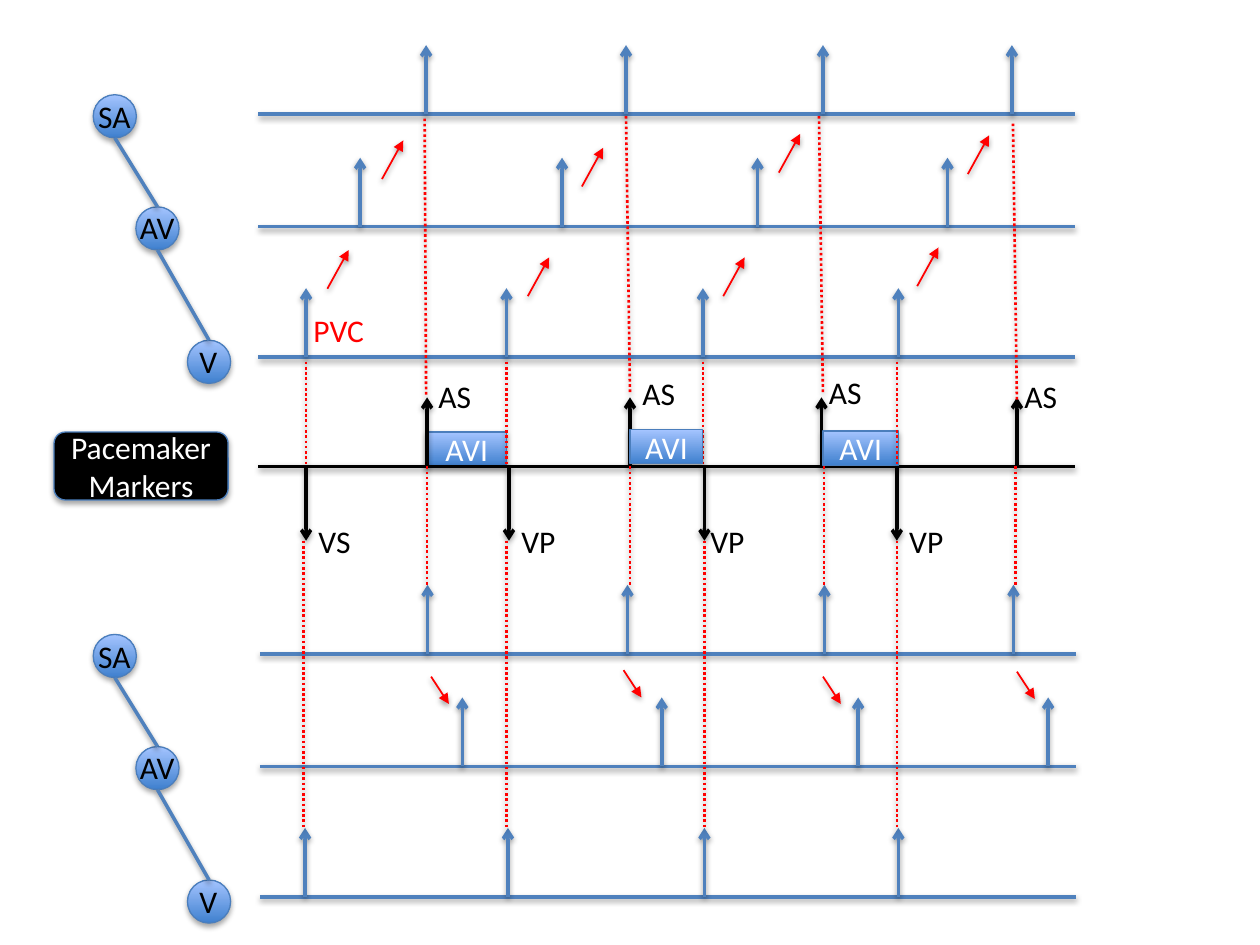
from lxml.etree import SubElement
from pptx import Presentation
from pptx.dml.color import RGBColor
from pptx.enum.dml import MSO_LINE
from pptx.enum.shapes import MSO_CONNECTOR, MSO_SHAPE
from pptx.enum.text import MSO_ANCHOR, MSO_AUTO_SIZE, PP_ALIGN
from pptx.oxml.ns import qn
from pptx.util import Cm, Pt

BLUE = RGBColor(0x4F, 0x81, 0xBD)
OUTLINE = RGBColor(0x4B, 0x7E, 0xBC)
GRADIENT = (RGBColor(0x3F, 0x80, 0xCE), RGBColor(0xA4, 0xC4, 0xFF))
RED = RGBColor(0xFF, 0x00, 0x00)
BLACK = RGBColor(0x00, 0x00, 0x00)
WHITE = RGBColor(0xFF, 0xFF, 0xFF)

# All positions are in centimetres
RAIL_START, RAIL_END = 5.21, 21.67
SA_RAIL, AV_RAIL, V_RAIL, MARKER_RAIL = 2.3, 4.57, 7.2, 9.4
LOWER_DX, LOWER_DY = 0.03, 10.88
BEAT_HEIGHT, PACE_DEPTH = 1.39, 1.5
NODE_SIZE = 0.87

SA_BEATS = (8.59, 12.62, 16.59, 20.4)
V_BEATS = (6.17, 10.21, 14.17, 18.11)
UPPER_BEATS = {SA_RAIL: SA_BEATS, AV_RAIL: (7.26, 11.33, 15.27, 19.1),
               V_RAIL: V_BEATS}
LOWER_BEATS = {SA_RAIL: [x + LOWER_DX for x in SA_BEATS],
               AV_RAIL: (9.32, 13.34, 17.3, 21.13),
               V_RAIL: (6.15, 10.24, 14.2, 18.11)}
ATRIAL_MARKERS = (8.61, 12.7, 16.56, 20.5)
VENTRICULAR_MARKERS = (6.17, 10.26, 14.2, 18.08)
MARKER_LABELS = (
    ("VS", 6.17, 10.39), ("AS", 8.59, 7.47), ("AS", 12.7, 7.42),
    ("AS", 16.46, 7.39), ("AS", 20.4, 7.47), ("VP", 10.26, 10.39),
    ("VP", 14.07, 10.39), ("VP", 18.08, 10.39))
LABEL_WIDTHS = {"VS": 1.17, "AS": 1.17, "VP": 1.22, "PVC": 1.55,
                "SA": 1.17, "AV": 1.22, "V": 0.89}

NODES = ((1.88, 1.91), (2.74, 4.17), (3.78, 6.86))
NODE_LABELS = (("SA", 1.73, 1.83), ("AV", 2.57, 4.07), ("V", 3.77, 6.77))
AV_INTERVALS = ((8.61, 8.71, 1.6), (12.7, 8.66, 1.47), (16.59, 8.69, 1.52))

SA_TO_MARKER = ((8.56, 2.39, 8.59, 7.98), (12.62, 2.34, 12.7, 7.92),
                (16.51, 2.34, 16.59, 7.95), (20.42, 2.49, 20.5, 8.08))
V_TO_MARKER = (6.17, 10.21, 14.17, 18.08)
MARKER_TO_SA = (8.61, 12.7, 16.61, 20.47)
MARKER_TO_V = (6.12, 10.21, 14.2, 18.08)

RETROGRADE = ((6.6, 5.82), (7.7, 3.61), (10.64, 5.97), (11.73, 3.76),
              (14.58, 5.97), (15.7, 3.48), (18.49, 5.77), (19.51, 3.51))
ANTEGRADE = ((20.5, 13.54), (12.57, 13.51), (16.59, 13.64), (8.69, 13.64))


def add_shadow(properties, distance, opacity):
    effects = properties.find(qn("a:effectLst"))
    if effects is None:
        effects = SubElement(properties, qn("a:effectLst"))
    shadow = SubElement(effects, qn("a:outerShdw"), blurRad="40000",
                        dist=str(distance), dir="5400000", rotWithShape="0")
    color = SubElement(shadow, qn("a:srgbClr"), val="000000")
    SubElement(color, qn("a:alpha"), val=str(opacity * 1000))


class Diagram:
    """Holds the text style and the slide being drawn."""

    font_format = {"name": "Calibri", "size": Pt(18)}

    def __init__(self, slide):
        self.slide = slide

    def set_text(self, shape, text, color, align, frame_format):
        frame = shape.text_frame
        for attribute, value in frame_format.items():
            setattr(frame, attribute, value)
        frame.text = text
        for paragraph in frame.paragraphs:
            paragraph.alignment = align
            for attribute, value in self.font_format.items():
                setattr(paragraph.font, attribute, value)
            paragraph.font.color.rgb = color

    def line(self, x1, y1, x2, y2, color=BLUE, width=2, head=None, dash=None):
        connector = self.slide.shapes.add_connector(
            MSO_CONNECTOR.STRAIGHT, Cm(x1), Cm(y1), Cm(x2), Cm(y2))
        stroke = connector.line
        stroke.color.rgb = color
        stroke.width = Pt(width)
        if dash:
            stroke.dash_style = dash
        properties = connector._element.spPr
        if head:
            SubElement(properties.find(qn("a:ln")), qn("a:tailEnd"), type=head)
        add_shadow(properties, 20000, 38)

    def beat(self, x, rail, height=BEAT_HEIGHT, color=BLUE):
        self.line(x, rail, x, rail - height, color, head="arrow")

    def link(self, x1, y1, x2, y2):
        self.line(x1, y1, x2, y2, RED, 1.5, dash=MSO_LINE.ROUND_DOT)

    def conduction(self, x, y, dx, dy):
        self.line(x, y, x + dx, y + dy, RED, 1, head="triangle")

    def shape(self, kind, left, top, width, height, text="", fill=None):
        """Draw a preset shape; without a fill colour it gets the gradient."""
        shape = self.slide.shapes.add_shape(
            kind, Cm(left), Cm(top), Cm(width), Cm(height))
        if fill is None:
            shape.fill.gradient()
            shape.fill.gradient_angle = 90
            for stop, color in zip(shape.fill.gradient_stops, GRADIENT):
                stop.color.rgb = color
        else:
            shape.fill.solid()
            shape.fill.fore_color.rgb = fill
        shape.line.color.rgb = OUTLINE
        shape.line.width = Pt(0.75)
        shape.shadow.inherit = False
        add_shadow(shape._element.spPr, 23000, 35)
        if text:
            self.set_text(shape, text, WHITE, PP_ALIGN.CENTER,
                          {"vertical_anchor": MSO_ANCHOR.MIDDLE})

    def label(self, text, left, top, color=BLACK):
        box = self.slide.shapes.add_textbox(
            Cm(left), Cm(top), Cm(LABEL_WIDTHS[text]), Cm(1.02))
        self.set_text(box, text, color, PP_ALIGN.LEFT,
                      {"word_wrap": False,
                       "auto_size": MSO_AUTO_SIZE.SHAPE_TO_FIT_TEXT})

    def interval(self, left, top, width):
        self.shape(MSO_SHAPE.RECTANGLE, left, top, width, 0.69, "AVI")

    def heart(self, beats, dx=0, dy=0):
        """Draw the node chain, the three rails and their beats."""
        for left, top in NODES:
            self.shape(MSO_SHAPE.OVAL, left, top + dy, NODE_SIZE, NODE_SIZE)
        radius = NODE_SIZE / 2
        for (x1, y1), (x2, y2) in zip(NODES, NODES[1:]):
            self.line(x1 + radius, y1 + NODE_SIZE + dy, x2 + radius, y2 + dy)
        for rail, positions in beats.items():
            self.line(RAIL_START + dx, rail + dy, RAIL_END + dx, rail + dy)
            for x in positions:
                self.beat(x, rail + dy)
        for text, left, top in NODE_LABELS:
            self.label(text, left, top + dy)


def main():
    presentation = Presentation()
    presentation.slide_width, presentation.slide_height = Cm(25.4), Cm(19.05)
    blank = presentation.slide_layouts[6]
    diagram = Diagram(presentation.slides.add_slide(blank))

    diagram.interval(*AV_INTERVALS[0])
    diagram.heart(UPPER_BEATS)
    diagram.line(RAIL_START, MARKER_RAIL, RAIL_END, MARKER_RAIL, BLACK)
    for x in ATRIAL_MARKERS:
        diagram.beat(x, MARKER_RAIL, color=BLACK)
    for x in VENTRICULAR_MARKERS:
        diagram.beat(x, MARKER_RAIL, -PACE_DEPTH, BLACK)
    for text, left, top in MARKER_LABELS:
        diagram.label(text, left, top)

    *early_links, last_link = V_TO_MARKER
    for x in early_links:
        diagram.link(x, 7.29, x, MARKER_RAIL)
    for interval in AV_INTERVALS[1:]:
        diagram.interval(*interval)
    diagram.link(last_link, 7.29, last_link, MARKER_RAIL)

    diagram.heart(LOWER_BEATS, LOWER_DX, LOWER_DY)
    for ends in SA_TO_MARKER:
        diagram.link(*ends)
    for x in MARKER_TO_SA:
        diagram.link(x, MARKER_RAIL, x, 11.81)
    for x in MARKER_TO_V:
        diagram.link(x, MARKER_RAIL + PACE_DEPTH, x, 16.69)

    for x, y in RETROGRADE:
        diagram.conduction(x, y, 0.43, -0.78)
    for x, y in ANTEGRADE:
        diagram.conduction(x, y, 0.36, 0.55)
    diagram.label("PVC", 6.07, 6.15, RED)
    diagram.shape(MSO_SHAPE.ROUNDED_RECTANGLE, 1.09, 8.71, 3.51, 1.37,
                  "Pacemaker\nMarkers", BLACK)
    presentation.save("out.pptx")


if __name__ == "__main__":
    main()
